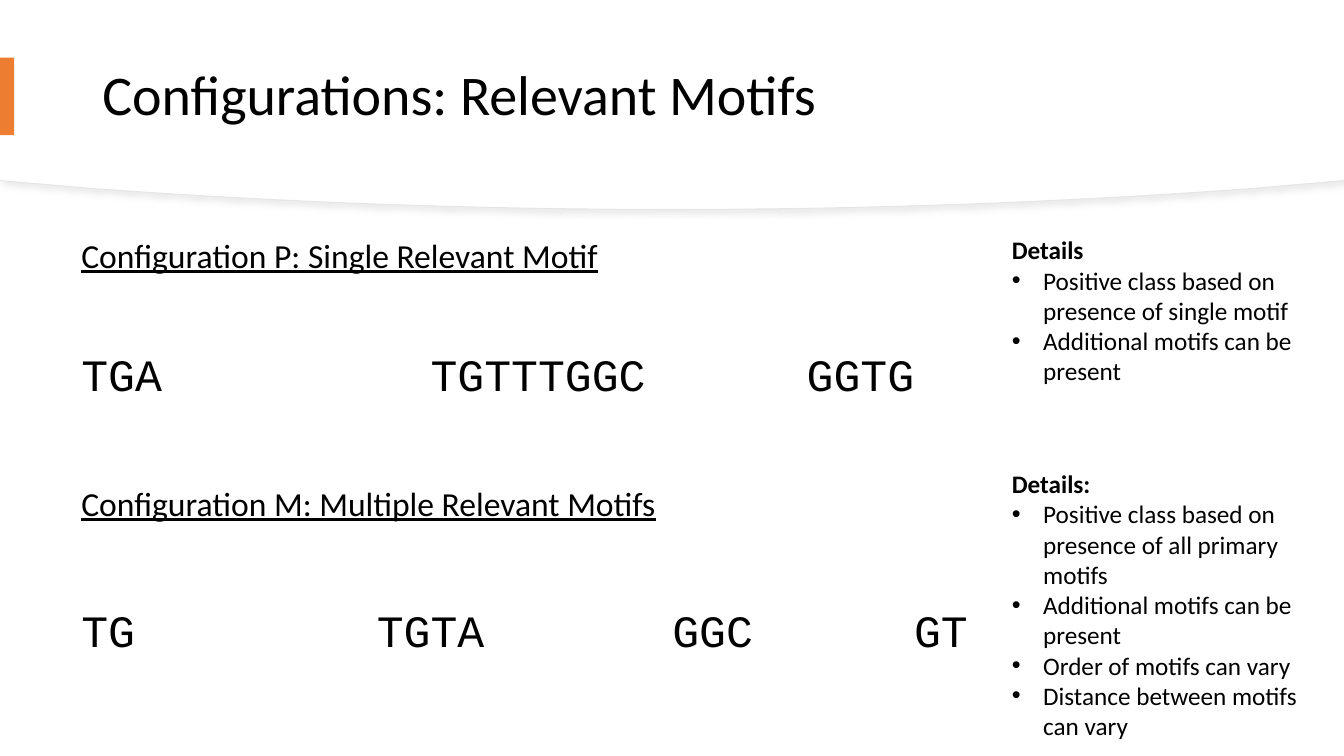
from lxml import etree
from pptx import Presentation
from pptx import util as u
from pptx.dml.color import RGBColor
from pptx.enum import text
from pptx.oxml import ns

WIDE, HIGH = 33.87, 19.05


class Deck:
    """Hold the style and the current slide, and draw each kind of element."""

    hues = {"ink": "000000", "paper": "FFFFFF", "edge": "E6E6E6",
            "shade": "D9D9D9", "mark": "ED7D31"}
    sans, mono = "Calibri", "Courier New"
    step = 0.677

    def __init__(self):
        self.file = Presentation()
        self.file.slide_width = u.Cm(WIDE)
        self.file.slide_height = u.Cm(HIGH)
        self.slide = self.file.slides.add_slide(self.file.slide_layouts[6])

    def hue(self, name):
        return RGBColor.from_string(self.hues[name])

    def node(self, root, tag, **attrs):
        kid = etree.SubElement(root, ns.qn(tag))
        for key, value in attrs.items():
            kid.set(key, str(value))
        return kid

    def paint(self, shape, fill, line=None):
        shape.shadow.inherit = False
        shape.fill.solid()
        shape.fill.fore_color.rgb = self.hue(fill)
        if line:
            shape.line.color.rgb = self.hue(line)
            shape.line.width = u.Pt(0.75)
        else:
            shape.line.fill.background()

    def shade(self, shape):
        root = shape._element.spPr.find(ns.qn("a:effectLst"))
        glow = self.node(root, "a:outerShdw", blurRad=u.Pt(4), dist=u.Pt(3),
                         dir=45 * 60000, algn="tl", rotWithShape=0)
        tone = self.node(glow, "a:srgbClr", val=self.hues["shade"])
        self.node(tone, "a:alpha", val=50000)

    def band(self, rise=0, line=None):
        mid = WIDE / 2
        ctrl = [(mid, 5.28), (11.76, 5.28), (6.81, 5.08), (2.31, 4.75)]
        half = []
        for i in range(25):
            t = i / 24
            mix = [(1 - t) ** 3, 3 * t * (1 - t) ** 2, 3 * t * t * (1 - t), t ** 3]
            half.append([sum(m * c[k] for m, c in zip(mix, ctrl)) for k in (0, 1)])
        half.append([0, 4.55])
        curve = [(WIDE - x, y) for x, y in reversed(half)] + half[1:]
        dots = [(WIDE, 0)] + [(x, y - rise) for x, y in curve]
        form = self.slide.shapes.build_freeform(0, 0, scale=1.0)
        form.add_line_segments([(u.Cm(x), u.Cm(y)) for x, y in dots], close=True)
        shape = form.convert_to_shape()
        self.paint(shape, "paper", line)
        return shape

    def block(self, x, y, w, h, fill):
        shape = self.slide.shapes.add_shape(1, *map(u.Cm, (x, y, w, h)))
        self.paint(shape, fill)

    def style(self, para, size, face, bold=False, under=False):
        for run in para.runs:
            font = run.font
            font.size, font.name = u.Pt(size), face
            font.bold, font.underline = bold, under
            font.color.rgb = self.hue("ink")

    def label(self, x, y, w, h, words, size, face=sans, under=False):
        frame = self.slide.shapes.add_textbox(*map(u.Cm, (x, y, w, h))).text_frame
        frame.word_wrap = True
        frame.text = words
        self.style(frame.paragraphs[0], size, face, under=under)
        return frame

    def title(self, words):
        frame = self.label(2.33, 0.7, 29.21, 3.53, words, 40)
        frame.vertical_anchor = text.MSO_ANCHOR.MIDDLE
        frame.paragraphs[0].line_spacing = 0.9

    def motifs(self, y, parts):
        frame = self.label(1.8, y, 25.2, 1.62, "\t".join(parts.values()), 32, self.mono)
        stops = self.node(frame.paragraphs[0]._p.get_or_add_pPr(), "a:tabLst")
        for col in list(parts)[1:]:
            self.node(stops, "a:tab", pos=u.Cm(col * self.step), algn="l")

    def notes(self, y, w, h, head, items):
        frame = self.label(25.25, y, w, h, head, 18)
        self.style(frame.paragraphs[0], 18, self.sans, bold=True)
        for item in items:
            para = frame.add_paragraph()
            para.text = item
            props = para._p.get_or_add_pPr()
            props.set("marL", str(u.Cm(0.79)))
            props.set("indent", str(-u.Cm(0.79)))
            self.node(props, "a:buFont", typeface="Arial")
            self.node(props, "a:buChar", char="•")
            self.style(para, 18, self.sans)


def main():
    deck = Deck()
    deck.shade(deck.band(line="edge"))
    deck.band(rise=0.03)
    deck.title("Configurations: Relevant Motifs")
    deck.block(0, 1.45, 0.36, 1.96, "mark")
    deck.label(1.8, 5.79, 15.6, 1.27, "Configuration P: Single Relevant Motif", 24, under=True)
    deck.label(1.8, 12.04, 15.6, 1.27, "Configuration M: Multiple Relevant Motifs", 24, under=True)
    deck.motifs(15.06, {0: "TG", 11: "TGTA", 22: "GGC", 31: "GT"})
    deck.motifs(8.61, {0: "TGA", 13: "TGTTTGGC", 27: "GGTG"})
    more = "Additional motifs can be present"
    deck.notes(5.79, 7.6, 4.11, "Details",
               ["Positive class based on presence of single motif", more])
    deck.notes(11.68, 7.95, 7.19, "Details:",
               ["Positive class based on presence of all primary motifs", more,
                "Order of motifs can vary", "Distance between motifs can vary"])
    deck.file.save("out.pptx")


if __name__ == "__main__":
    main()
